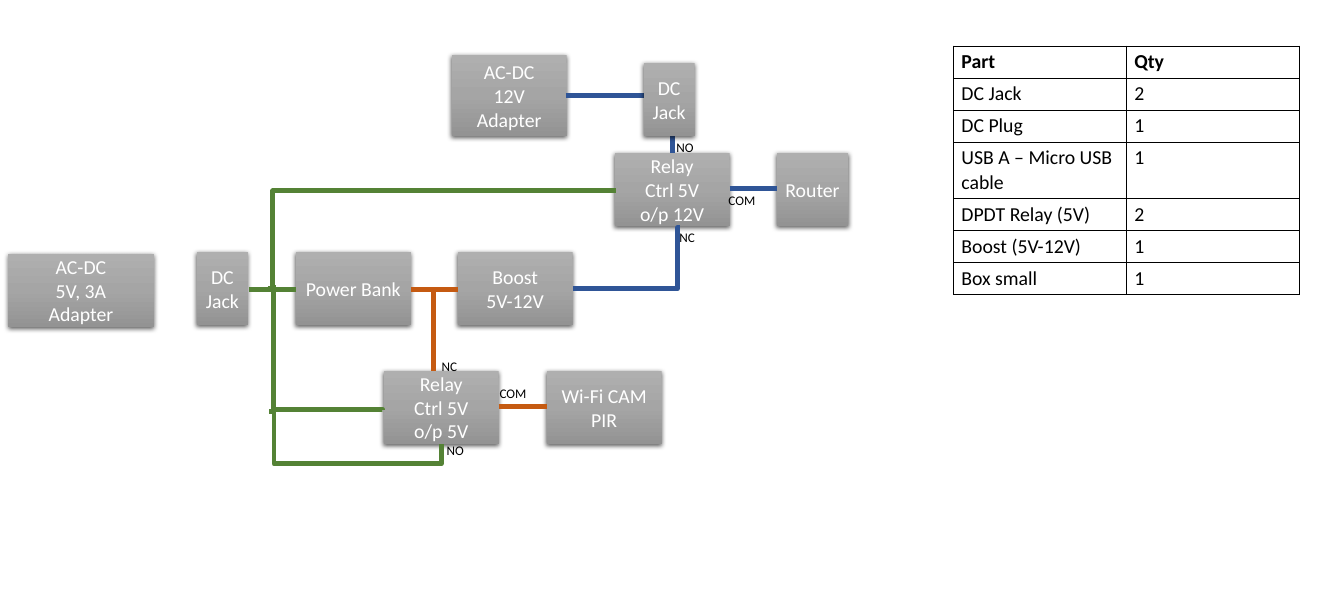
from lxml import etree
from pptx import Presentation
from pptx.dml.color import RGBColor
from pptx.enum.dml import MSO_LINE
from pptx.enum.shapes import MSO_CONNECTOR, MSO_SHAPE
from pptx.enum.text import MSO_ANCHOR, PP_ALIGN
from pptx.oxml import parse_xml
from pptx.oxml.ns import nsdecls, qn
from pptx.util import Inches, Pt

PX = 914400 / 79.1
WHITE, BLACK = RGBColor(255, 255, 255), RGBColor(0, 0, 0)
GREEN = RGBColor(0x54, 0x82, 0x35)
ORANGE = RGBColor(0xC5, 0x5A, 0x11)
BLUE = RGBColor(0x2F, 0x55, 0x97)
GRADIENT = [(0, RGBColor(0xAF, 0xAF, 0xAF)), (50, RGBColor(0xA5, 0xA5, 0xA5)),
            (100, RGBColor(0x93, 0x93, 0x93))]

# text, left, top, width, height
BOXES = [
    ("DC Jack", 197, 252, 51, 73),
    ("AC-DC\n5V, 3A\nAdapter", 8, 254, 146, 73),
    ("Power Bank", 296, 252, 115, 73),
    ("Boost\v5V-12V", 458, 252, 115, 73),
    ("AC-DC\v12V\vAdapter", 452, 55, 115, 81),
    ("Relay\nCtrl 5V\no/p 12V", 615, 153, 115, 73),
    ("Router", 777, 153, 72, 73),
    ("Relay\nCtrl 5V\no/p 5V", 384, 371, 115, 73),
    ("Wi-Fi CAM\nPIR", 547, 371, 115, 73),
]
TOP_JACK = ("DC Jack", 644, 63, 51, 73)

# colour, from x, from y, to x, to y
STRAIGHT_WIRES = [
    (GREEN, 249, 290, 296, 290),
    (ORANGE, 411, 290, 458, 290),
    (ORANGE, 499, 407, 547, 407),
    (ORANGE, 434, 290, 434, 371),
    (BLUE, 730, 189, 777, 189),
]
# colour, left, top, width, height, preset, transform, adjustments
BENT_WIRES = [
    (BLUE, 566, 96, 107, 57, "bentConnector2", {}, []),
    (BLUE, 573, 228, 107, 61, "bentConnector3", {"flipV": "1"}, [98000]),
    (GREEN, 268, 191, 348, 98, "bentConnector3", {"flipV": "1"}, [1400]),
    (GREEN, 266, 293, 125, 109, "bentConnector3",
     {"rot": "16200000", "flipV": "1"}, [400]),
    (GREEN, 339, 342, 33, 172, "bentConnector4",
     {"rot": "5400000", "flipH": "1"}, [-59300, 97300]),
]
# text, left, top, width
LABELS = [("COM", 492, 382, 49), ("NC", 434, 355, 38), ("NO", 439, 439, 38),
          ("COM", 721, 189, 49), ("NC", 672, 226, 38), ("NO", 669, 135, 38)]
LABEL_H = 24

PARTS = [("Part", "Qty"), ("DC Jack", "2"), ("DC Plug", "1"),
         ("USB A – Micro USB cable", "1"), ("DPDT Relay (5V)", "2"),
         ("Boost (5V-12V)", "1"), ("Box small", "1")]
TABLE_X, TABLE_Y, COL_W, ROW_H = 954, 46, 173, 32


def emu(*lengths):
    """Turn pixels into EMU."""
    return [round(v * PX) for v in lengths]


def write(tf, text, size, color, align=None, bold=False):
    """Put text in a frame with one font throughout."""
    tf.text = text
    tf.word_wrap = True
    for p in tf.paragraphs:
        p.alignment = align
        f = p.font
        f.name, f.size, f.bold = "Calibri", Pt(size), bold
        f.color.rgb = color


def add_box(text, *frame):
    """Add a grey gradient block with a soft shadow."""
    sp = s.shapes.add_shape(MSO_SHAPE.RECTANGLE, *emu(*frame))
    spPr = sp._element.spPr
    sp.line.fill.background()
    sp.fill.gradient()
    sp.fill.gradient_angle = 270
    stops = spPr.find(qn("a:gradFill")).find(qn("a:gsLst"))
    for old in list(stops):
        stops.remove(old)
    for pos, color in GRADIENT:
        gs = etree.SubElement(stops, qn("a:gs"), pos=str(pos * 1000))
        etree.SubElement(gs, qn("a:srgbClr"), val=str(color))
    spPr.append(parse_xml(
        f'<a:effectLst {nsdecls("a")}><a:outerShdw blurRad="57150" dist="19050" '
        'dir="5400000" algn="ctr" rotWithShape="0"><a:srgbClr val="000000">'
        '<a:alpha val="63000"/></a:srgbClr></a:outerShdw></a:effectLst>'))
    sp.text_frame.vertical_anchor = MSO_ANCHOR.MIDDLE
    write(sp.text_frame, text, 18, WHITE, PP_ALIGN.CENTER)


def add_wire(kind, color, *ends):
    """Add a thick connector without shadow."""
    c = s.shapes.add_connector(kind, *emu(*ends))
    c.line.color.rgb, c.line.width = color, Pt(4.5)
    c.line.dash_style = MSO_LINE.SOLID
    etree.SubElement(c._element.spPr, qn("a:effectLst"))
    return c


def add_bent_wire(color, x, y, w, h, preset, transform, adjustments):
    """Add an elbow connector with its turn, flip and bends."""
    c = add_wire(MSO_CONNECTOR.ELBOW, color, x, y, x + w, y + h)
    spPr = c._element.spPr
    for key, value in transform.items():
        spPr.find(qn("a:xfrm")).set(key, value)
    geom = spPr.find(qn("a:prstGeom"))
    geom.set("prst", preset)
    guides = geom.find(qn("a:avLst"))
    for i, value in enumerate(adjustments, 1):
        etree.SubElement(guides, qn("a:gd"), name=f"adj{i}", fmla=f"val {value}")


def add_parts_table():
    """Add the parts list with thin black borders."""
    rows, cols = len(PARTS), len(PARTS[0])
    table = s.shapes.add_table(rows, cols, *emu(
        TABLE_X, TABLE_Y, COL_W * cols, ROW_H * rows)).table
    for i, row in enumerate(PARTS):
        for j, text in enumerate(row):
            cell = table.cell(i, j)
            write(cell.text_frame, text, 18, BLACK, bold=i == 0)
            tcPr = cell._tc.get_or_add_tcPr()
            for side in ("lnL", "lnR", "lnT", "lnB"):
                tcPr.append(parse_xml(
                    f'<a:{side} {nsdecls("a")} w="12700"><a:solidFill>'
                    f'<a:srgbClr val="{BLACK}"/></a:solidFill></a:{side}>'))
            cell.fill.background()


prs = Presentation()
prs.slide_width, prs.slide_height = Inches(17), Inches(7.5)
s = prs.slides.add_slide(prs.slide_layouts[6])

for box in BOXES:
    add_box(*box)
for wire in STRAIGHT_WIRES:
    add_wire(MSO_CONNECTOR.STRAIGHT, *wire)
for wire in BENT_WIRES:
    add_bent_wire(*wire)
add_parts_table()
add_box(*TOP_JACK)
for text, x, y, w in LABELS:
    label = s.shapes.add_textbox(*emu(x, y, w, LABEL_H))
    write(label.text_frame, text, 12, BLACK)

prs.save("out.pptx")
